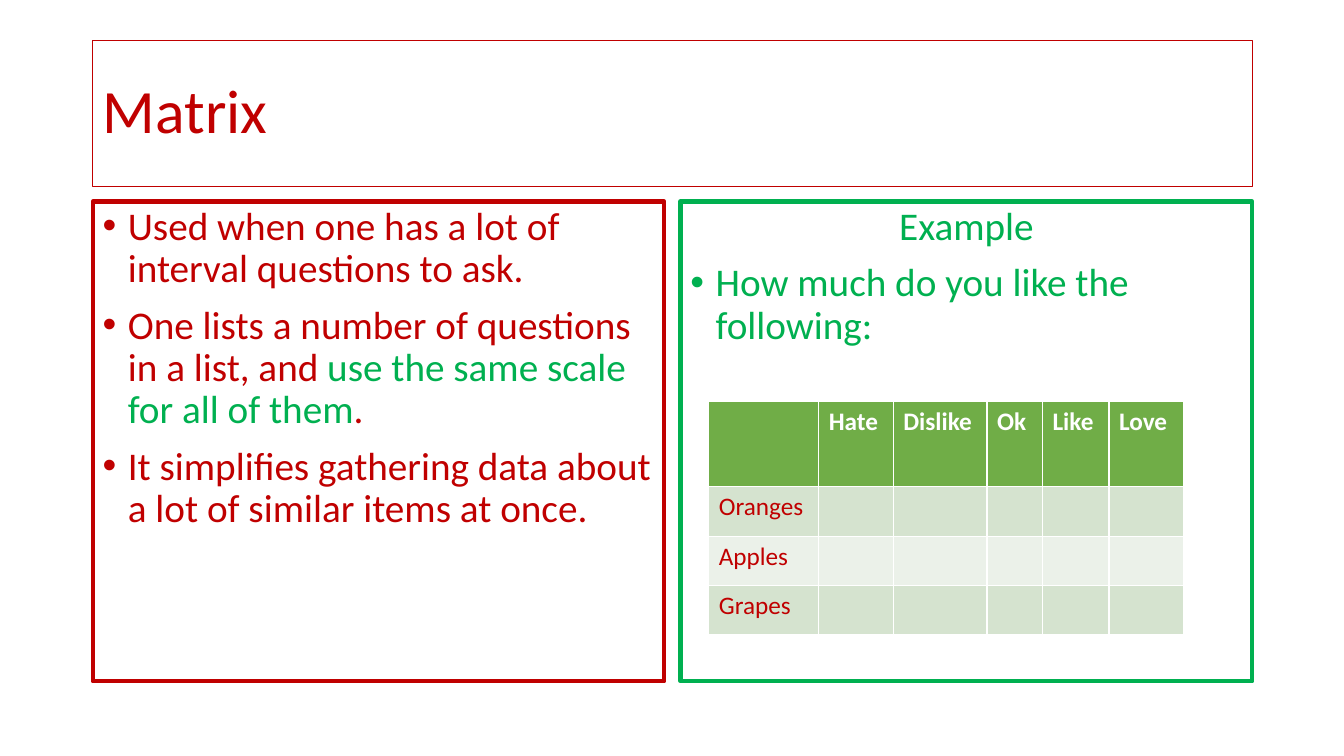
from dataclasses import dataclass

from lxml import etree
from pptx import Presentation
from pptx.dml.color import RGBColor
from pptx.enum.text import MSO_ANCHOR, PP_ALIGN
from pptx.oxml.ns import qn
from pptx.util import Inches, Pt

LEFT, CENTER = PP_ALIGN.LEFT, PP_ALIGN.CENTER
TOP, MIDDLE = MSO_ANCHOR.TOP, MSO_ANCHOR.MIDDLE


@dataclass(frozen=True)
class Theme:
    font: str = "Calibri"
    red: str = "C00000"
    green: str = "00B050"
    white: str = "FFFFFF"
    header: str = "70AD47"
    odd_row: str = "D5E3CF"
    even_row: str = "EBF1E9"
    title: int = 44
    body: int = 28
    cell: int = 18


THEME = Theme()


def write(paragraph, *runs, size, color, bold=False, align=LEFT, spacing=0.9, before=0, bullet=False):
    paragraph.alignment = align
    paragraph.line_spacing = spacing
    paragraph.space_before = Pt(before)
    if bullet:
        properties = paragraph._p.get_or_add_pPr()
        properties.set("marL", str(Inches(0.25)))
        properties.set("indent", str(Inches(-0.25)))
        etree.SubElement(properties, qn("a:buFont")).set("typeface", "Arial")
        etree.SubElement(properties, qn("a:buChar")).set("char", "•")
    for words, run_color in runs:
        run = paragraph.add_run()
        run.text = words
        run.font.name = THEME.font
        run.font.size = Pt(size)
        run.font.bold = bold
        run.font.color.rgb = RGBColor.from_string(run_color or color)


def frame(box, left, top, width, height, color, weight, anchor):
    box.left, box.top, box.width, box.height = map(Inches, (left, top, width, height))
    box.line.color.rgb = RGBColor.from_string(color)
    box.line.width = Pt(weight)
    box.text_frame.word_wrap = True
    box.text_frame.vertical_anchor = anchor


deck = Presentation()
deck.slide_width, deck.slide_height = Inches(13.33), Inches(7.5)
slide = deck.slides.add_slide(deck.slide_layouts[5])

MARGIN, CONTENT_WIDTH, GUTTER = 0.92, 11.5, 0.16
COLUMN_WIDTH = (CONTENT_WIDTH - GUTTER) / 2

heading = slide.shapes.title
frame(heading, MARGIN, 0.4, CONTENT_WIDTH, 1.45, THEME.red, 0.75, MIDDLE)
write(heading.text_frame.paragraphs[0], ("Matrix", None), size=THEME.title, color=THEME.red)

explanation = [
    (LEFT, [("Used when one has a lot of interval questions to ask.", None)]),
    (LEFT, [("One lists a number of questions in a list, and ", None),
            ("use the same scale for all of them", THEME.green), (".", None)]),
    (LEFT, [("It simplifies gathering data about a lot of similar items at once.", None)]),
]
example = [
    (CENTER, [("Example", None)]),
    (LEFT, [("How much do you like the following:", None)]),
]

for column, (color, points) in enumerate([(THEME.red, explanation), (THEME.green, example)]):
    panel = slide.shapes.add_textbox(0, 0, 0, 0)
    left = MARGIN + column * (COLUMN_WIDTH + GUTTER)
    frame(panel, left, 2, COLUMN_WIDTH, 4.76, color, 3, TOP)
    for index, (align, runs) in enumerate(points):
        paragraph = panel.text_frame.add_paragraph() if index else panel.text_frame.paragraphs[0]
        write(paragraph, *runs, size=THEME.body, color=color, align=align,
              before=10, bullet=align == LEFT)

ratings = ["", "Hate", "Dislike", "Ok", "Like", "Love"]
fruits = ["Oranges", "Apples", "Grapes"]
rating_widths = [1.09, 0.74, 0.93, 0.55, 0.66, 0.74]
row_heights = [0.85] + [0.49] * len(fruits)

matrix = slide.shapes.add_table(
    len(row_heights), len(ratings), Inches(7.03), Inches(3.98),
    Inches(sum(rating_widths)), Inches(sum(row_heights))).table
for column, width in zip(matrix.columns, rating_widths):
    column.width = Inches(width)
for row, height in zip(matrix.rows, row_heights):
    row.height = Inches(height)

for row_index, labels in enumerate([ratings] + [[fruit] + [""] * 5 for fruit in fruits]):
    is_header = row_index == 0
    fill = THEME.header if is_header else (THEME.even_row, THEME.odd_row)[row_index % 2]
    for column_index, label in enumerate(labels):
        cell = matrix.cell(row_index, column_index)
        cell.fill.solid()
        cell.fill.fore_color.rgb = RGBColor.from_string(fill)
        if label:
            write(cell.text_frame.paragraphs[0], (label, None), size=THEME.cell, spacing=1.0,
                  color=THEME.white if is_header else THEME.red, bold=is_header)

deck.save("out.pptx")
